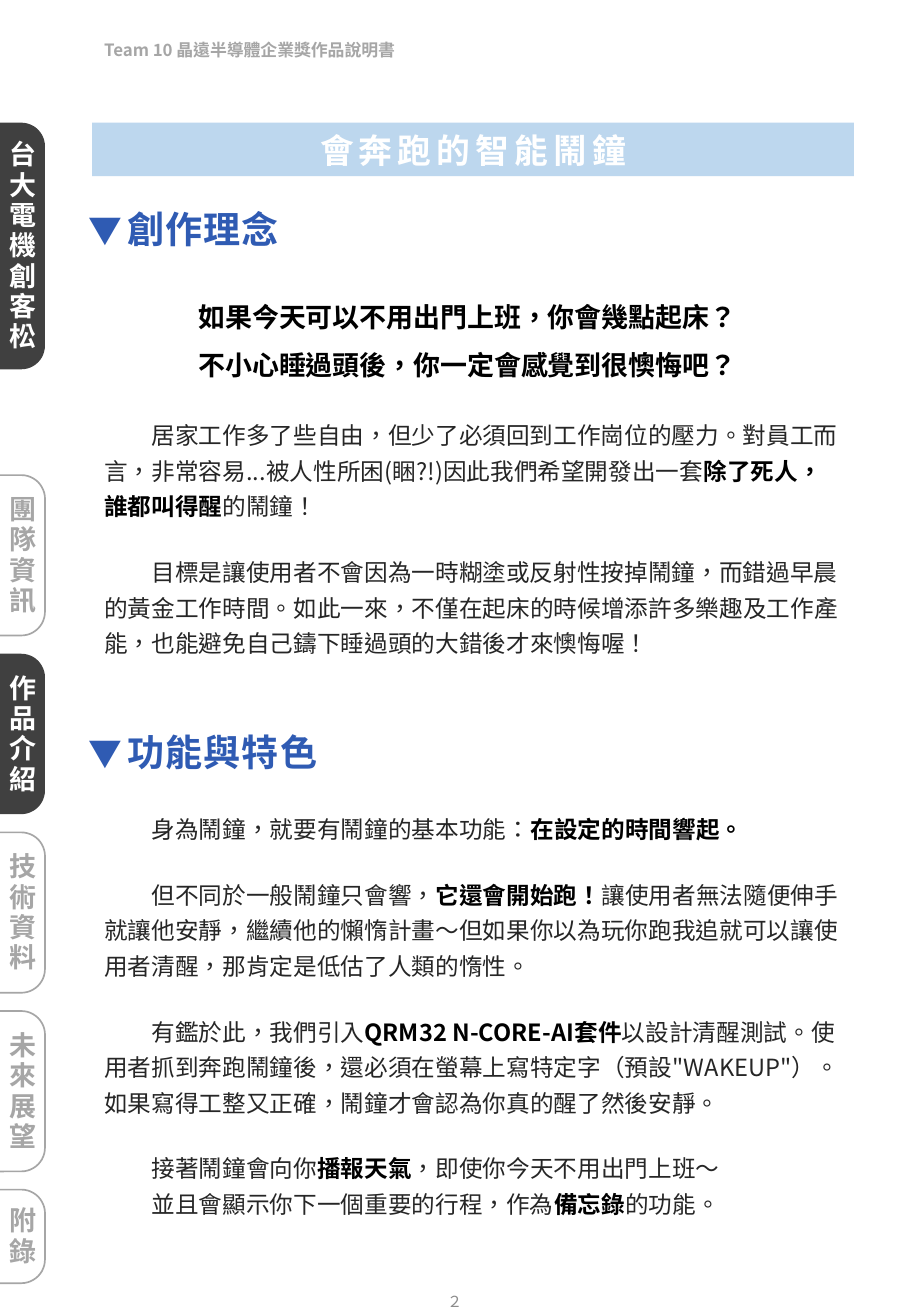
"""Build the portrait page that introduces the running alarm clock."""
from pptx import Presentation
from pptx.dml.color import RGBColor
from pptx.enum.shapes import MSO_SHAPE as SHAPE
from pptx.enum.text import MSO_ANCHOR as ANCHOR, MSO_AUTO_SIZE as AUTO, PP_ALIGN as ALIGN
from pptx.oxml.ns import qn
from pptx.util import Inches, Pt
from lxml.etree import SubElement

FONT = "Noto Sans CJK SC"
WHITE = RGBColor(0xFF, 0xFF, 0xFF)
BLACK = RGBColor(0, 0, 0)
INK = RGBColor(0x26, 0x26, 0x26)
DARK = RGBColor(0x40, 0x40, 0x40)
GREY = RGBColor(0xA6, 0xA6, 0xA6)
PAGE_GREY = RGBColor(0x8C, 0x8C, 0x8C)
BLUE = RGBColor(0x2F, 0x5B, 0xB3)
PALE_BLUE = RGBColor(0xBD, 0xD7, 0xEE)

WIDTH, HEIGHT = 7.5, 10.83
MARGIN, COLUMN, BANNER_TOP = 0.76, 6.27, 1.01
TAB_DEPTH, TAB_CENTRE, TAB_GAP, TABS_TOP = 0.39, 0.175, 0.15, 3.91

HEADER = "Team 10 晶遠半導體企業獎作品說明書"
TITLE = "會奔跑的智能鬧鐘"
PAGE = "２"
EVENT_TAB = ("台大電機創客松", 2.03, True)
SECTION_TABS = [
    ("團隊資訊", 1.32, False),
    ("作品介紹", 1.32, True),
    ("技術資料", 1.32, False),
    ("未來展望", 1.32, False),
    ("附錄", 0.77, False),
]
HEADINGS = [("創作理念", 1.65, 1.79), ("功能與特色", 5.95, 2.11)]
QUESTIONS = ["如果今天可以不用出門上班，你會幾點起床？", "不小心睡過頭後，你一定會感覺到很懊悔吧？"]
IDEA = [
    (0, ["居家工作多了些自由，但少了必須回到工作崗位的壓力。對員工而言，"
         "非常容易...被人性所困(睏?!)因此我們希望開發出一套", "除了死人，誰都叫得醒", "的鬧鐘！"]),
    (18, ["目標是讓使用者不會因為一時糊塗或反射性按掉鬧鐘，而錯過早晨的黃金工作時間。"
          "如此一來，不僅在起床的時候增添許多樂趣及工作產能，"
          "也能避免自己鑄下睡過頭的大錯後才來懊悔喔！"]),
]
FEATURES = [
    (0, ["身為鬧鐘，就要有鬧鐘的基本功能：", "在設定的時間響起。"]),
    (18, ["但不同於一般鬧鐘只會響，", "它還會開始跑！",
          "讓使用者無法隨便伸手就讓他安靜，繼續他的懶惰計畫～但如果你以為玩你跑我追"
          "就可以讓使用者清醒，那肯定是低估了人類的惰性。"]),
    (18, ["有鑑於此，我們引入", "QRM32 N-CORE-AI套件",
          "以設計清醒測試。使用者抓到奔跑鬧鐘後，還必須在螢幕上寫特定字（預設\"WAKEUP\"）。"
          "如果寫得工整又正確，鬧鐘才會認為你真的醒了然後安靜。"]),
    (18, ["接著鬧鐘會向你", "播報天氣", "，即使你今天不用出門上班～"]),
    (0, ["並且會顯示你下一個重要的行程，作為", "備忘錄", "的功能。"]),
]


def add_run(p, text, spacing=0):
    r = p.add_run()
    r.text = text
    props = r._r.get_or_add_rPr()
    props.set("lang", "zh-TW")
    if spacing:
        props.set("spc", str(round(spacing * 100)))
    SubElement(props, qn("a:ea")).set("typeface", FONT)
    return r


def style(p, size, color, bold=False, align=ALIGN.LEFT, line=1.0):
    p.font.name, p.font.size, p.font.bold = FONT, Pt(size), bold
    p.font.color.rgb = color
    p.alignment, p.line_spacing = align, line


def paragraphs(tf, count):
    return [tf.paragraphs[0]] + [tf.add_paragraph() for _ in range(count - 1)]


def add_box(s, left, top, width, height, wrap=True):
    tf = s.shapes.add_textbox(*map(Inches, (left, top, width, height))).text_frame
    tf.word_wrap = wrap
    tf.auto_size = AUTO.SHAPE_TO_FIT_TEXT
    return tf


def add_panel(s, kind, left, top, width, height, fill=None):
    sp = s.shapes.add_shape(kind, *map(Inches, (left, top, width, height)))
    sp.shadow.inherit = False
    if fill is None:
        sp.fill.background()
        sp.line.color.rgb, sp.line.width = GREY, Pt(1)
    else:
        sp.fill.solid()
        sp.fill.fore_color.rgb = fill
        sp.line.fill.background()
    return sp


def add_tab(s, top, label, length, active):
    sp = add_panel(s, SHAPE.ROUND_2_SAME_RECTANGLE, TAB_CENTRE - length / 2,
                   top + (length - TAB_DEPTH) / 2, length, TAB_DEPTH, DARK if active else None)
    sp.rotation = 90
    sp.adjustments[0], sp.adjustments[1] = 0.5, 0
    tf = sp.text_frame
    tf.word_wrap, tf.vertical_anchor = True, ANCHOR.MIDDLE
    tf._txBody.bodyPr.set("vert", "vert270")
    p = tf.paragraphs[0]
    style(p, 16, WHITE if active else GREY, True, ALIGN.CENTER, Pt(18))
    add_run(p, label)


def add_heading(s, label, top, width):
    p = add_box(s, 0.63, top, width, 0.47, wrap=False).paragraphs[0]
    style(p, 22, BLUE, True)
    add_run(p, "▼", 3).font.size = Pt(20)
    add_run(p, label, 0.7)


def add_body(s, top, height, content):
    tf = add_box(s, MARGIN, top, COLUMN, height)
    for p, (before, parts) in zip(paragraphs(tf, len(content)), content):
        style(p, 14, INK, line=Pt(21))
        p.space_before = Pt(before)
        p._p.get_or_add_pPr().set("indent", str(Pt(28)))
        for i, part in enumerate(parts):
            r = add_run(p, part)
            if i % 2:
                r.font.bold, r.font.color.rgb = True, BLACK


def main():
    prs = Presentation()
    prs.slide_width, prs.slide_height = Inches(WIDTH), Inches(HEIGHT)
    s = prs.slides.add_slide(prs.slide_layouts[6])

    p = add_box(s, MARGIN, 0.19, 4.97, 0.32).paragraphs[0]
    style(p, 10, GREY, True, line=1.5)
    p.space_after = Pt(12)
    add_run(p, HEADER)

    banner = add_panel(s, SHAPE.RECTANGLE, MARGIN, BANNER_TOP, COLUMN, 0.44, PALE_BLUE)
    banner.text_frame.vertical_anchor = ANCHOR.BOTTOM
    p = banner.text_frame.paragraphs[0]
    style(p, 20, WHITE, True, ALIGN.CENTER, 1.5)
    add_run(p, TITLE, 3)

    for heading in HEADINGS:
        add_heading(s, *heading)

    tf = add_box(s, 0.96, 2.29, 5.78, 0.86)
    for p, question in zip(paragraphs(tf, len(QUESTIONS)), QUESTIONS):
        style(p, 16, BLACK, True, ALIGN.CENTER, 1.5)
        add_run(p, question)

    add_body(s, 3.36, 2.09, IDEA)
    add_body(s, 6.6, 3.48, FEATURES)

    add_tab(s, BANNER_TOP, *EVENT_TAB)
    top = TABS_TOP
    for label, length, active in SECTION_TABS:
        add_tab(s, top, label, length, active)
        top += length + TAB_GAP

    tf = add_box(s, 2.48, 10.42, 2.53, 0.58)
    tf.auto_size, tf.vertical_anchor = AUTO.NONE, ANCHOR.MIDDLE
    p = tf.paragraphs[0]
    style(p, 9, PAGE_GREY, align=ALIGN.CENTER)
    add_run(p, PAGE)

    prs.save("out.pptx")


if __name__ == "__main__":
    main()
